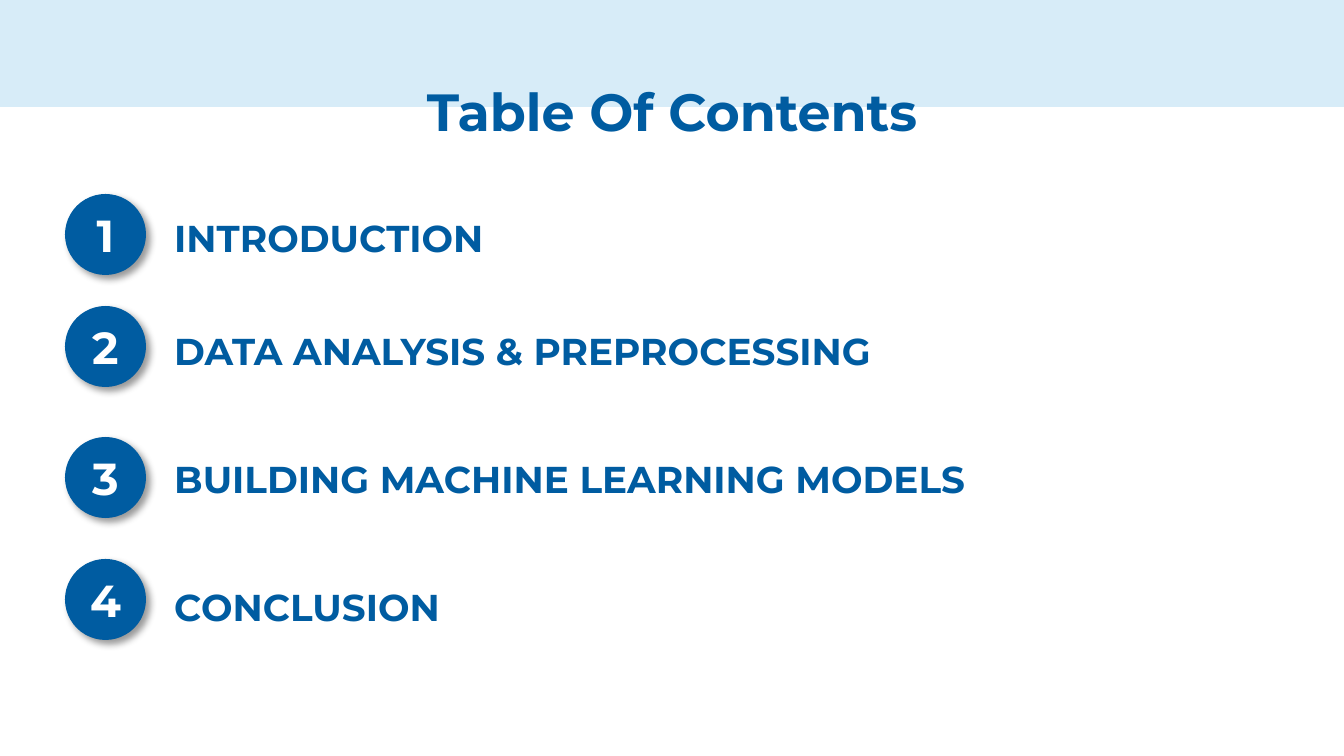
import pptx
import pptx.dml.color
import pptx.enum.shapes
import pptx.enum.text
import pptx.oxml
import pptx.util
from pptx.enum.text import MSO_ANCHOR, MSO_AUTO_SIZE, PP_ALIGN

# Content: heading, width of its box, top of its badge, top of its box (px)
TITLE = "Table Of Contents"
SECTIONS = [
    ("INTRODUCTION", 1062, 194, 200),
    ("DATA ANALYSIS & PREPROCESSING", 1156, 306, 313),
    ("BUILDING MACHINE LEARNING MODELS", 1008, 437, 441),
    ("CONCLUSION", 1008, 559, 569),
]

THEME = {
    "font": "Montserrat",
    "blue": "005CA1",
    "band": "D7ECF8",
    "white": "FFFFFF",
    "title": 28,
    "number": 24,
    "heading": 20,
}
SLIDE_W, SLIDE_H = 1344, 756
BAND_H = 107
BADGE_X, BADGE_SIZE = 65, 81
HEADING_X, HEADING_H = 161, 63
EMU_PER_PX = 914400 / 134.4

# Offsets in EMU, angle in 60000ths of a degree
SHADOW_XML = (
    '<a:outerShdw xmlns:a="http://schemas.openxmlformats.org/drawingml/2006/main"'
    ' blurRad="50800" dist="38100" dir="2700000" algn="tl" rotWithShape="0">'
    '<a:srgbClr val="000000"><a:alpha val="40000"/></a:srgbClr></a:outerShdw>'
)


def px(n):
    return pptx.util.Emu(round(n * EMU_PER_PX))


def color(name):
    return pptx.dml.color.RGBColor.from_string(THEME[name])


def set_text(sp, text, size, ink, align=None):
    p = sp.text_frame.paragraphs[0]
    p.text = text
    p.alignment = align
    p.font.name = THEME["font"]
    p.font.size = pptx.util.Pt(THEME[size])
    p.font.bold = True
    p.font.color.rgb = color(ink)
    return p


def add_flat_shape(slide, kind, box, fill):
    sp = slide.shapes.add_shape(kind, *map(px, box))
    sp.shadow.inherit = False
    sp.fill.solid()
    sp.fill.fore_color.rgb = color(fill)
    sp.line.fill.background()
    return sp


def add_badge(slide, number, top):
    box = (BADGE_X, top, BADGE_SIZE, BADGE_SIZE)
    sp = add_flat_shape(slide, pptx.enum.shapes.MSO_SHAPE.OVAL, box, "blue")
    effects = sp._element.spPr.find(pptx.oxml.ns.qn("a:effectLst"))
    effects.append(pptx.oxml.parse_xml(SHADOW_XML))
    sp.text_frame.vertical_anchor = MSO_ANCHOR.MIDDLE
    set_text(sp, str(number), "number", "white", PP_ALIGN.CENTER)


def add_heading(slide, text, width, top):
    sp = slide.shapes.add_textbox(*map(px, (HEADING_X, top, width, HEADING_H)))
    sp.text_frame.word_wrap = True
    sp.text_frame.auto_size = MSO_AUTO_SIZE.SHAPE_TO_FIT_TEXT
    set_text(sp, text, "heading", "blue").line_spacing = 1.2


def format_title(sp):
    sp.left, sp.top, sp.width, sp.height = map(px, (46, 66, 1252, 94))
    tf = sp.text_frame
    tf.auto_size = MSO_AUTO_SIZE.NONE
    tf.vertical_anchor = MSO_ANCHOR.TOP
    tf.margin_left = tf.margin_right = pptx.util.Inches(0.1)
    tf.margin_top = tf.margin_bottom = pptx.util.Inches(0.1)
    set_text(sp, TITLE, "title", "blue", PP_ALIGN.CENTER)


def main():
    prs = pptx.Presentation()
    prs.slide_width, prs.slide_height = px(SLIDE_W), px(SLIDE_H)
    slide = prs.slides.add_slide(prs.slide_layouts[5])

    # Top band, sent behind the title
    band = add_flat_shape(slide, pptx.enum.shapes.MSO_SHAPE.RECTANGLE,
                          (0, 0, SLIDE_W, BAND_H), "band")
    slide.shapes.title._element.addprevious(band._element)
    format_title(slide.shapes.title)

    # Numbered sections
    for number, (text, width, badge_top, heading_top) in enumerate(SECTIONS, 1):
        add_heading(slide, text, width, heading_top)
        add_badge(slide, number, badge_top)

    prs.save("out.pptx")


if __name__ == "__main__":
    main()
